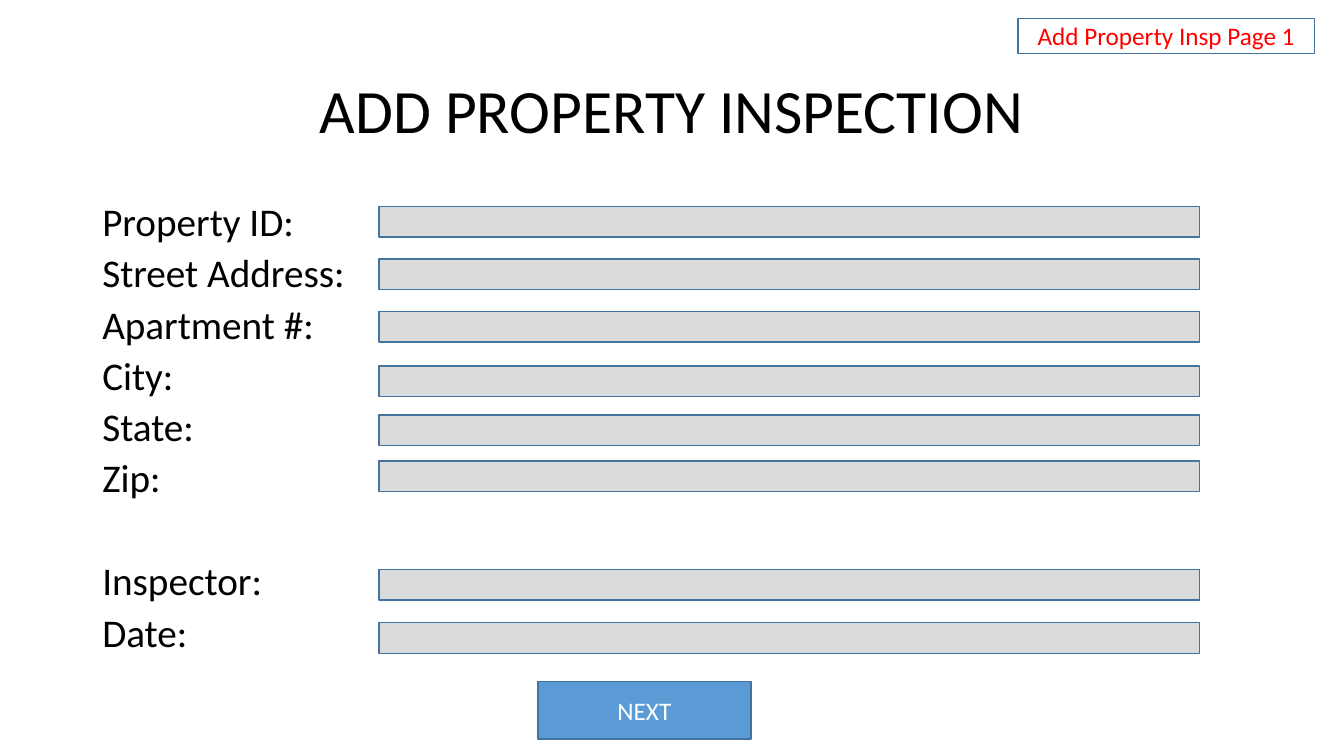
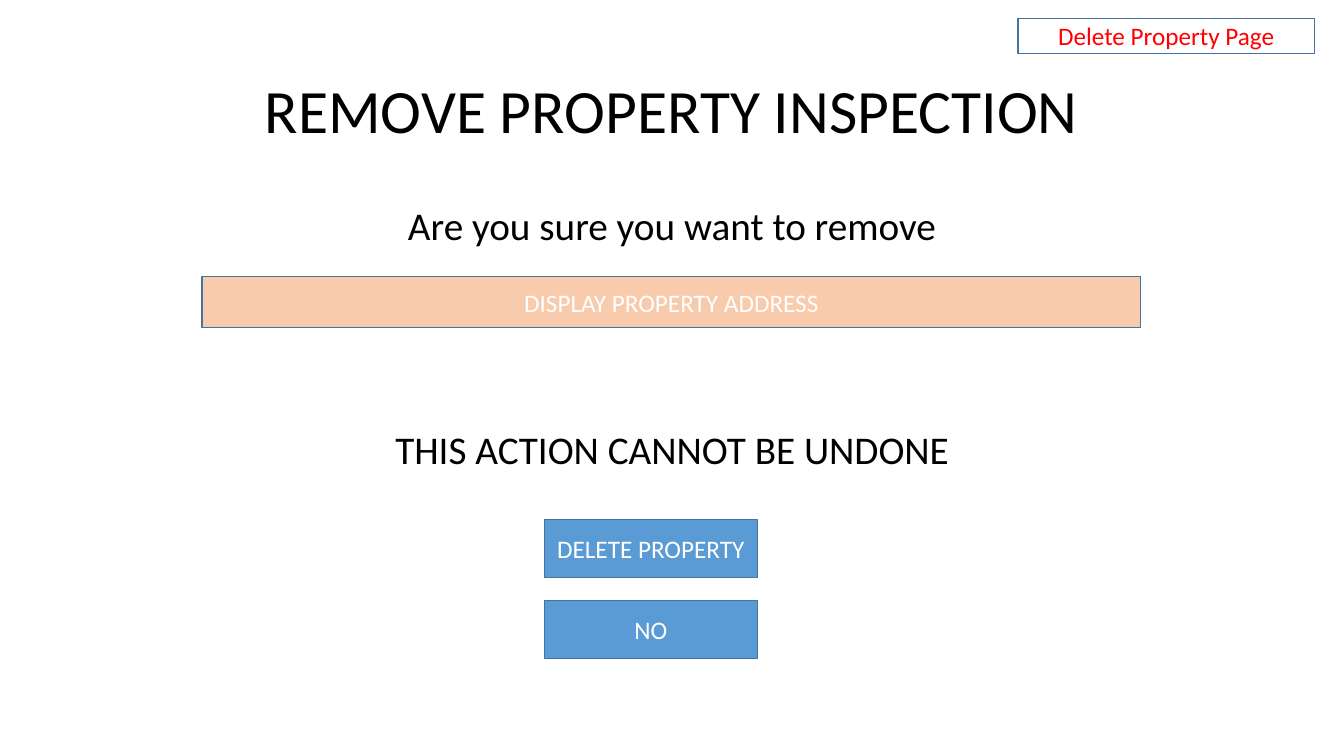
"""Build two property inspection form screens."""
from pptx import Presentation
from pptx.dml.color import RGBColor
from pptx.enum.shapes import MSO_SHAPE
from pptx.enum.text import MSO_ANCHOR, PP_ALIGN
from pptx.util import Pt

RECT = MSO_SHAPE.RECTANGLE
TOP, MIDDLE = MSO_ANCHOR.TOP, MSO_ANCHOR.MIDDLE
LEFT, CENTER = PP_ALIGN.LEFT, PP_ALIGN.CENTER

FONT = "Calibri"
COLORS = {
    "text": "000000", "tag": "FF0000", "light": "FFFFFF", "border": "43739E",
    "field": "DBDBDB", "button": "5B9BD5", "address": "F8CBAD",
}
TITLE_BOX = (66, 28.8, 828, 104.4)
BODY_BOX = (66, 144, 828, 342.7)
TAG_BOX = (727.2, 13, 211.7, 25.2)
ADDRESS_BOX = (144.4, 197.3, 670.3, 36.7)
FIELD_LEFT, FIELD_WIDTH, FIELD_HEIGHT = 270.7, 586.1, 21.8
BUTTON_WIDTH, BUTTON_HEIGHT = 152.2, 41.3

ADD_PAGE = {
    "title": "ADD PROPERTY INSPECTION",
    "tag": "Add Property Insp Page 1",
    "labels": [("Property ID:", 10), ("Street Address:", 9.7), ("Apartment #:", 9.7),
               ("City:", 9.7), ("State:", 9.7), ("Zip:", 9.7),
               ("Inspector:", 46.7), ("Date:", 9.7)],
    "field_tops": [147.6, 185, 222.5, 261.5, 296.5, 329.2, 406.8, 444.8],
    "buttons": [("NEXT", 384.2, 486.6)],
}
REMOVE_PAGE = {
    "title": "REMOVE PROPERTY INSPECTION",
    "tag": "Delete Property Page",
    "message": [("Are you sure you want to remove", 10),
                ("THIS ACTION CANNOT BE UNDONE", 130)],
    "address": "DISPLAY PROPERTY ADDRESS",
    "buttons": [("DELETE PROPERTY", 388.8, 371.2), ("NO", 388.8, 429.1)],
}


def rgb(name):
    return RGBColor.from_string(COLORS[name])


def style(p, size, color, align):
    p.alignment = align
    for r in p.runs:
        r.font.name = FONT
        r.font.size = Pt(size)
        r.font.color.rgb = rgb(color)


def add_text(s, box, lines, size, align, anchor, spacing):
    tf = s.shapes.add_textbox(*map(Pt, box)).text_frame
    tf.word_wrap = True
    tf.vertical_anchor = anchor
    for i, (text, before) in enumerate(lines):
        p = tf.add_paragraph() if i else tf.paragraphs[0]
        p.text = text
        p.line_spacing = spacing
        p.space_before = Pt(before)
        style(p, size, "text", align)


def add_box(s, box, fill=None, text="", color="light"):
    sp = s.shapes.add_shape(RECT, *map(Pt, box))
    sp.shadow.inherit = False
    if fill:
        sp.fill.solid()
        sp.fill.fore_color.rgb = rgb(fill)
    else:
        sp.fill.background()
    sp.line.color.rgb = rgb("border")
    sp.line.width = Pt(1)
    if text:
        tf = sp.text_frame
        tf.text = text
        tf.vertical_anchor = MIDDLE
        style(tf.paragraphs[0], 18, color, CENTER)


def add_page(prs, page):
    s = prs.slides.add_slide(prs.slide_layouts[6])
    add_text(s, TITLE_BOX, [(page["title"], 0)], 44, CENTER, MIDDLE, 0.9)
    add_box(s, TAG_BOX, text=page["tag"], color="tag")
    for text, left, top in page["buttons"]:
        add_box(s, (left, top, BUTTON_WIDTH, BUTTON_HEIGHT), "button", text)
    return s


prs = Presentation()
prs.slide_width, prs.slide_height = Pt(960), Pt(540)

s = add_page(prs, ADD_PAGE)
add_text(s, BODY_BOX, ADD_PAGE["labels"], 28, LEFT, TOP, 0.8)
for top in ADD_PAGE["field_tops"]:
    add_box(s, (FIELD_LEFT, top, FIELD_WIDTH, FIELD_HEIGHT), "field")

s = add_page(prs, REMOVE_PAGE)
add_text(s, BODY_BOX, REMOVE_PAGE["message"], 28, CENTER, TOP, 0.9)
add_box(s, ADDRESS_BOX, "address", REMOVE_PAGE["address"])

prs.save("out.pptx")
